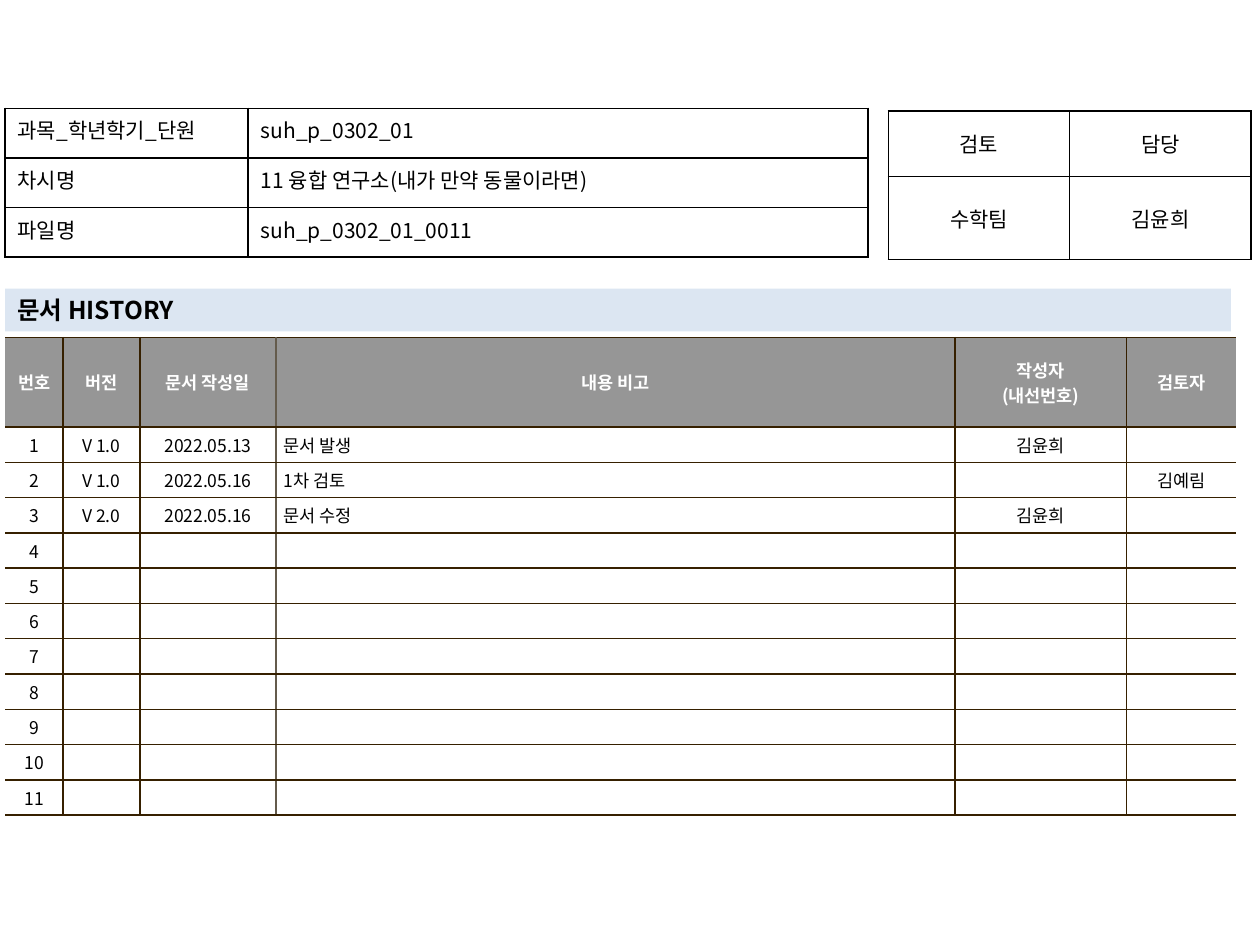
from lxml.etree import SubElement
from pptx import Presentation
from pptx.dml.color import RGBColor
from pptx.enum.shapes import MSO_SHAPE as Shape
from pptx.enum.text import MSO_ANCHOR as Anchor, PP_ALIGN as Align
from pptx.oxml.ns import qn
from pptx.util import Inches, Pt

COLORS = {
    "ink": "000000",
    "paper": "FFFFFF",
    "header": "969696",
    "band": "DCE6F2",
    "rule": "362000",
    "soft_rule": "645B4C",
}
COLUMNS, ROWS = 100, 75


class Page:
    font = "Noto Sans CJK KR"
    border = Pt(1)

    def __init__(self, deck):
        self.slide = deck.slides.add_slide(deck.slide_layouts[6])
        self.column = deck.slide_width / COLUMNS
        self.row = deck.slide_height / ROWS

    def area(self, left, top, width, height):
        return (round(left * self.column), round(top * self.row),
                round(width * self.column), round(height * self.row))

    def label(self, frame, text, size, color="ink", bold=False, align=Align.LEFT):
        frame.text = text
        for paragraph in frame.paragraphs:
            paragraph.alignment = align
            font = paragraph.font
            font.size, font.bold, font.name = Pt(size), bold, self.font
            font.color.rgb = RGBColor.from_string(COLORS[color])
            properties = paragraph._p.pPr.find(qn("a:defRPr"))
            SubElement(properties, qn("a:ea"), typeface=self.font)
            if not text:
                SubElement(paragraph._p, qn("a:endParaRPr"), sz=str(size * 100))

    def edge(self, cell, side, color):
        line = SubElement(cell._tc.get_or_add_tcPr(), qn(f"a:ln{side}"),
                          w=str(self.border))
        if color is None:
            SubElement(line, qn("a:noFill"))
        else:
            fill = SubElement(line, qn("a:solidFill"))
            SubElement(fill, qn("a:srgbClr"), val=COLORS[color])

    def table(self, left, top, widths, heights, entries, style):
        frame = self.slide.shapes.add_table(
            len(heights), len(widths),
            *self.area(left, top, sum(widths), sum(heights)))
        table = frame.table
        table.first_row = table.horz_banding = False
        for column, width in zip(table.columns, widths):
            column.width = round(width * self.column)
        for row, height in zip(table.rows, heights):
            row.height = round(height * self.row)
        for r, line in enumerate(entries):
            for c, text in enumerate(line):
                style(table.cell(r, c), r, c, text)

    def cell(self, cell, text, edges, margins, fill=None,
             anchor=Anchor.MIDDLE, **text_style):
        for side, color in zip("LRTB", edges):
            self.edge(cell, side, color)
        if fill:
            cell.fill.solid()
            cell.fill.fore_color.rgb = RGBColor.from_string(COLORS[fill])
        else:
            cell.fill.background()
        side, end = map(Inches, margins)
        cell.margin_left = cell.margin_right = side
        cell.margin_top = cell.margin_bottom = end
        cell.vertical_anchor = anchor
        self.label(cell.text_frame, text, **text_style)

    def heading(self, left, top, width, height, text):
        band = self.slide.shapes.add_shape(
            Shape.RECTANGLE, *self.area(left, top, width, height))
        band.shadow.inherit = False
        band.fill.solid()
        band.fill.fore_color.rgb = RGBColor.from_string(COLORS["band"])
        band.line.fill.background()
        band.text_frame.word_wrap = True
        band.text_frame.vertical_anchor = Anchor.MIDDLE
        self.label(band.text_frame, text, 14, bold=True)

    def history_cell(self, cell, r, c, text):
        verticals = [None, "rule", "rule", "soft_rule", "rule", "rule", None]
        head = r == 0
        note = c == 3 and not head
        self.cell(cell, text, verticals[c:c + 2] + ["rule"] * 2, (0.06, 0.04),
                  fill="header" if head else "paper",
                  size=10, color="paper" if head else "ink", bold=head,
                  align=Align.LEFT if note else Align.CENTER)

    def review_cell(self, cell, r, c, text):
        self.cell(cell, text, ["ink"] * 4, (0.1, 0.05), size=12,
                  align=Align.CENTER)

    def subject_cell(self, cell, r, c, text):
        self.cell(cell, text, ["ink"] * 4, (0.1, 0.05), size=12,
                  anchor=Anchor.TOP,
                  align=Align.LEFT if c else Align.JUSTIFY)


def main():
    deck = Presentation()
    deck.slide_width, deck.slide_height = Inches(10), Inches(7.5)
    page = Page(deck)

    titles = ["번호", "버전", "문서 작성일", "내용 비고", "작성자\n(내선번호)", "검토자"]
    revisions = [
        ["V 1.0", "2022.05.13", "문서 발생", "김윤희", ""],
        ["V 1.0", "2022.05.16", "1차 검토", "", "김예림"],
        ["V 2.0", "2022.05.16", "문서 수정", "김윤희", ""],
    ]
    last = 11
    revisions += [[""] * 5] * (last - len(revisions))
    history = [titles] + [[str(n), *entry] for n, entry in enumerate(revisions, 1)]
    page.table(0.4, 26.8, [4.6, 6.1, 10.8, 53.9, 13.6, 8.7],
               [7.1] + [2.5] * last, history, page.history_cell)

    review = [["검토", "담당"], ["수학팀", "김윤희"]]
    page.table(70.5, 8.8, [14.4] * 2, [5.2, 6.6], review, page.review_cell)

    page.heading(0.4, 22.9, 97.3, 3.4, "문서 HISTORY")

    subject = [
        ["과목_학년학기_단원", "suh_p_0302_01"],
        ["차시명", "11 융합 연구소(내가 만약 동물이라면)"],
        ["파일명", "suh_p_0302_01_0011"],
    ]
    page.table(0.4, 8.6, [19.3, 49.2], [3.93] * 3, subject, page.subject_cell)

    deck.save("out.pptx")


if __name__ == "__main__":
    main()
